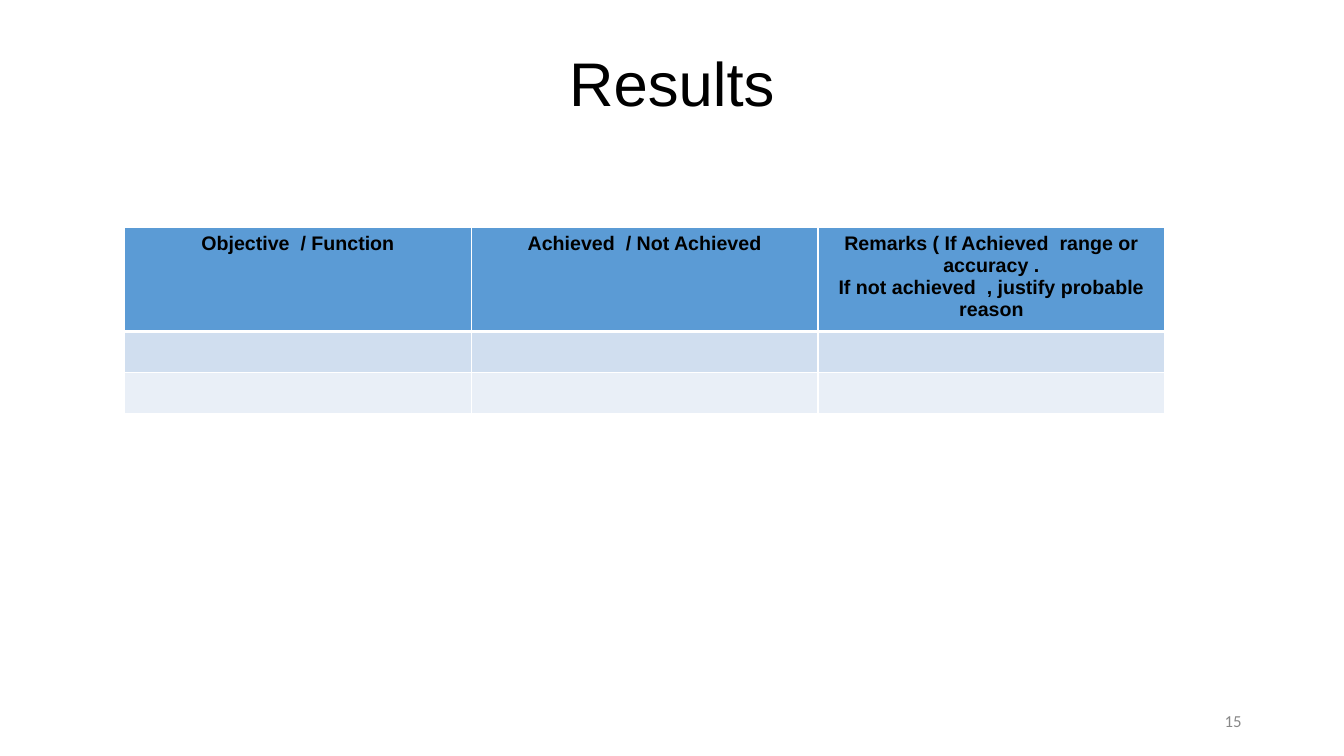
from dataclasses import dataclass

from lxml.etree import SubElement
from pptx import Presentation
from pptx.dml.color import RGBColor
from pptx.enum.text import MSO_ANCHOR, PP_ALIGN
from pptx.oxml.ns import qn
from pptx.util import Pt


@dataclass(frozen=True)
class Theme:
    heading_font: str = "Arial"
    number_font: str = "Calibri"
    title_size: float = 44
    header_size: float = 14
    number_size: float = 12
    body_size: float = 18
    ink: str = "000000"
    muted: str = "888888"
    border: str = "FFFFFF"
    header_fill: str = "5B9BD5"
    band_fills: tuple = ("D0DEEF", "E9EFF7")
    thin: float = 1
    thick: float = 3


THEME = Theme()
HEADERS = [
    ["Objective  / Function"],
    ["Achieved  / Not Achieved"],
    ["Remarks ( If Achieved  range or accuracy .",
     "If not achieved  , justify probable reason"],
]
HEADER_HEIGHT = 70
ROW_HEIGHT = 29.2


def add_run(p, text, font, size, color, bold=False):
    r = p.add_run()
    r.text = text
    r.font.name = font
    r.font.size = Pt(size)
    r.font.bold = bold
    r.font.color.rgb = RGBColor.from_string(color)


def add_label(s, box, text, align, font, size, color, line_spacing=1.0):
    sp = s.shapes.add_textbox(*map(Pt, box))
    tf = sp.text_frame
    tf.word_wrap = True
    tf.vertical_anchor = MSO_ANCHOR.MIDDLE
    p = tf.paragraphs[0]
    p.alignment = align
    p.line_spacing = line_spacing
    add_run(p, text, font, size, color)


def style_cell(cell, fill, top, bottom):
    """Draw the four borders, then the fill, in the order the schema needs."""
    tc_pr = cell._tc.get_or_add_tcPr()
    widths = {"L": THEME.thin, "R": THEME.thin, "T": top, "B": bottom}
    for side, width in widths.items():
        ln = SubElement(tc_pr, qn(f"a:ln{side}"), w=str(Pt(width)))
        solid = SubElement(ln, qn("a:solidFill"))
        SubElement(solid, qn("a:srgbClr"), val=THEME.border)
    cell.fill.solid()
    cell.fill.fore_color.rgb = RGBColor.from_string(fill)


def add_header_text(cell, lines):
    tf = cell.text_frame
    for i, line in enumerate(lines):
        p = tf.add_paragraph() if i else tf.paragraphs[0]
        p.alignment = PP_ALIGN.CENTER
        add_run(p, line, THEME.heading_font, THEME.header_size, THEME.ink, bold=True)


def add_results_table(s, left, top, width):
    fills = [THEME.header_fill, *THEME.band_fills]
    heights = [HEADER_HEIGHT] + [ROW_HEIGHT] * len(THEME.band_fills)
    table = s.shapes.add_table(len(fills), len(HEADERS), Pt(left), Pt(top),
                               Pt(width), Pt(sum(heights))).table
    for column in table.columns:
        column.width = Pt(width / len(HEADERS))
    for i, (fill, height) in enumerate(zip(fills, heights)):
        table.rows[i].height = Pt(height)
        above = THEME.thick if i == 1 else THEME.thin
        below = THEME.thick if i == 0 else THEME.thin
        for cell in table.rows[i].cells:
            style_cell(cell, fill, above, below)
            if i:
                cell.text_frame.paragraphs[0].font.size = Pt(THEME.body_size)
    for cell, lines in zip(table.rows[0].cells, HEADERS):
        add_header_text(cell, lines)


def build_results_slide(prs):
    s = prs.slides.add_slide(prs.slide_layouts[6])
    add_label(s, (66, 28.8, 828, 65.5), "Results", PP_ALIGN.CENTER,
              THEME.heading_font, THEME.title_size, THEME.ink, line_spacing=0.9)
    add_results_table(s, 89, 162.3, 743)
    add_label(s, (678, 500.5, 216, 28.8), "15", PP_ALIGN.RIGHT,
              THEME.number_font, THEME.number_size, THEME.muted)


def main():
    prs = Presentation()
    prs.slide_width, prs.slide_height = Pt(960), Pt(540)
    build_results_slide(prs)
    prs.save("out.pptx")


if __name__ == "__main__":
    main()
